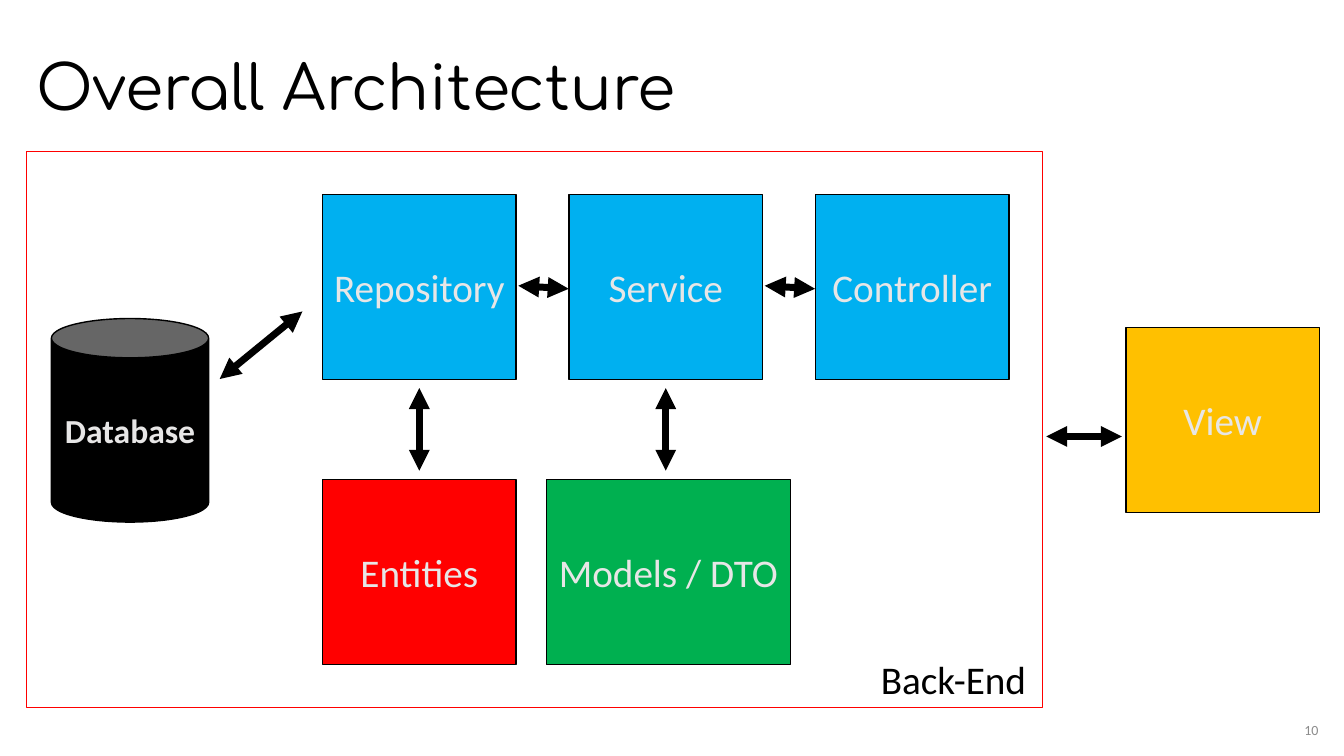
from lxml.etree import SubElement
from pptx import Presentation
from pptx.dml.color import RGBColor
from pptx.enum.shapes import MSO_CONNECTOR as Connector, MSO_SHAPE as Shape
from pptx.enum.text import MSO_ANCHOR as Anchor, PP_ALIGN as Align
from pptx.oxml.ns import qn
from pptx.util import Inches, Pt

COLORS = {
    "black": "000000",
    "pale": "E7E6E6",
    "gray": "8C8C8C",
    "blue": "00B0F0",
    "green": "00B050",
    "red": "FF0000",
    "amber": "FFC000",
}
COLUMNS, ROWS = 160, 90

NODE_WIDTH, NODE_HEIGHT = 23.04, 22
NODE_LEFT, NODE_STEP = 38.4, 29.34
LAYER_TOP, DATA_TOP = 23.16, 57.12


class SlideBuilder:
    """Draws on one page; all lengths are grid columns and rows."""

    def __init__(self, deck):
        self.deck = deck
        self.page = deck.slides.add_slide(deck.slide_layouts[6])

    def place(self, *lengths):
        """Turn alternating columns and rows into slide lengths."""
        units = (self.deck.slide_width / COLUMNS, self.deck.slide_height / ROWS)
        return [round(length * units[i % 2]) for i, length in enumerate(lengths)]

    def color(self, name):
        return RGBColor.from_string(COLORS[name])

    def label(self, box, text, size, color, font="Calibri", align=Align.LEFT,
              anchor=Anchor.MIDDLE, bold=False):
        frame = box.text_frame
        frame.word_wrap = True
        frame.vertical_anchor = anchor
        para = frame.paragraphs[0]
        para.text = text
        para.alignment = align
        para.font.name = font
        para.font.size = Pt(size)
        para.font.bold = bold
        para.font.color.rgb = self.color(color)
        return frame

    def text(self, area, text, size, color, **style):
        box = self.page.shapes.add_textbox(*self.place(*area))
        return self.label(box, text, size, color, **style)

    def shape(self, area, line, fill=None, kind=Shape.RECTANGLE):
        shape = self.page.shapes.add_shape(kind, *self.place(*area))
        shape.shadow.inherit = False
        shape.line.color.rgb = self.color(line)
        shape.line.width = Pt(1)
        if fill:
            shape.fill.solid()
            shape.fill.fore_color.rgb = self.color(fill)
        else:
            shape.fill.background()
        return shape

    def node(self, left, top, name, fill, width=NODE_WIDTH, height=NODE_HEIGHT,
             kind=Shape.RECTANGLE, size=28, bold=False):
        shape = self.shape((left, top, width, height), "black", fill, kind)
        self.label(shape, name, size, "pale", align=Align.CENTER, bold=bold)

    def arrow(self, *ends):
        """Join two points with a double-headed arrow."""
        arrow = self.page.shapes.add_connector(Connector.STRAIGHT, *self.place(*ends))
        arrow.line.color.rgb = self.color("black")
        arrow.line.width = Pt(5)
        properties = arrow.element.spPr
        outline = properties.find(qn("a:ln"))
        for end in ("a:headEnd", "a:tailEnd"):
            SubElement(outline, qn(end), type="triangle")
        SubElement(properties, qn("a:effectLst"))


def main():
    deck = Presentation()
    deck.slide_width, deck.slide_height = Inches(13.33), Inches(7.5)
    slide = SlideBuilder(deck)

    number = slide.text((151.8, 85.68, 5.64, 2.52), "10", 10, "gray", align=Align.RIGHT)
    number.margin_left = number.margin_right = Inches(0.04)
    number.margin_top = number.margin_bottom = Inches(0.04)
    title = slide.text((3.12, 2.04, 138, 17.4), "Overall Architecture", 44, "black",
                       font="Comfortaa")
    title.paragraphs[0].line_spacing = 0.9

    slide.node(6.12, 37.92, "Database", "black", 18.72, 24.24, Shape.CAN, 24, True)
    for column, name in enumerate(("Repository", "Service", "Controller")):
        slide.node(NODE_LEFT + column * NODE_STEP, LAYER_TOP, name, "blue")
    slide.node(NODE_LEFT, DATA_TOP, "Entities", "red")
    slide.node(65.04, DATA_TOP, "Models / DTO", "green", width=29.04)

    slide.arrow(26.16, 45.12, 36, 37.08)
    for column in range(2):
        offset = column * NODE_STEP
        center = NODE_LEFT + NODE_WIDTH / 2 + offset
        slide.arrow(center, 56.04, center, 46.2)
        slide.arrow(61.7 + offset, 34.02, 67.7 + offset, 34.38)
    slide.arrow(124.56, 51.96, 133.56, 51.96)

    slide.text((103.68, 77.4, 20.4, 6.84), "Back-End", 28, "black", anchor=Anchor.TOP)
    slide.shape((3.12, 18, 120.96, 66.24), "red")
    slide.node(134.04, 39, "View", "amber")

    deck.save("out.pptx")


if __name__ == "__main__":
    main()
